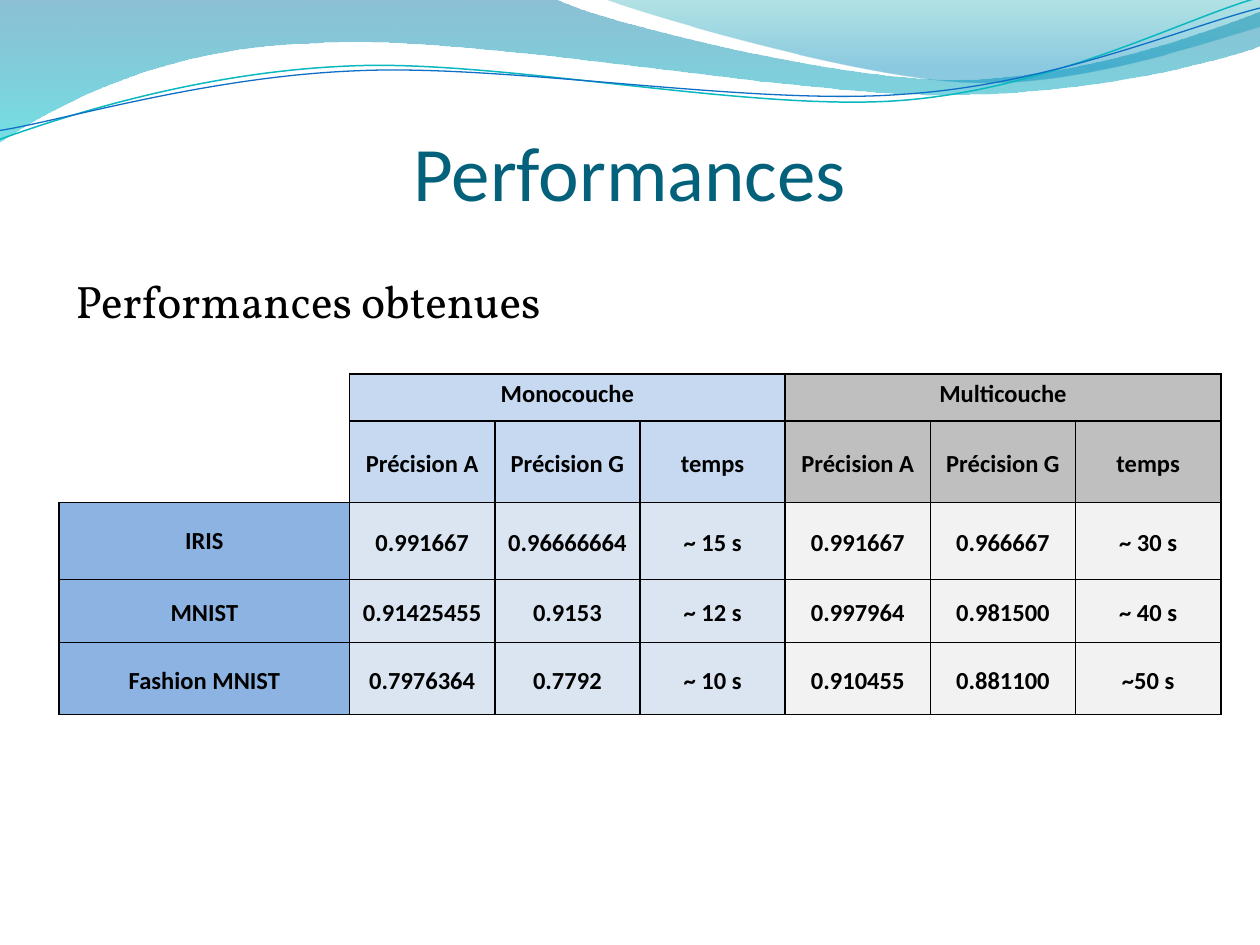
from dataclasses import dataclass

from pptx import Presentation
from pptx import util as u
from pptx.dml.color import RGBColor
from pptx.enum import text
from pptx.oxml.ns import qn
from lxml import etree

WIDTH, HEIGHT = u.Inches(10), u.Inches(7.5)


class Theme:
    heading_font, body_font = "Calibri", "Vollkorn"
    title_size, body_size, cell_size = 44, 26, 14
    title, ink = "04617B", "000000"
    group_heads = ("C6D9F1", "BFBFBF")
    group_cells = ("DBE5F1", "F2F2F2")
    row_head = "8DB3E2"


@dataclass
class Box:
    left: int
    top: int
    width: int
    height: int


def share(left, top, width, height):
    """Box given in percent of the slide's size."""
    return Box(round(left * WIDTH / 100), round(top * HEIGHT / 100),
               round(width * WIDTH / 100), round(height * HEIGHT / 100))


# Each wave: points in hundredths of the banner's width, each curve as
# two control points and an end point; a single point is a straight side.
BANDS = [
    ([(0, 0), [(44, -.1)],
      [(47.6, 1.7), (66.4, 6.3), (75.8, 6.3)], [(85.3, 6.3), (95.8, 2.6), (100, .9)],
      [(100.1, 3.6)],
      [(98.3, 4.4), (87, 7.6), (74.6, 7.5)], [(62.2, 7.5), (38.2, 2.8), (25.7, 3.4)],
      [(12.9, 3.6), (4.6, 8.3), (-.1, 11.3)]],
     [(0, "0074A1", 45), (1, "00C6CF", 55)]),
    ([(47.9, -.1), [(50.9, 1.1), (68.2, 6.2), (76.9, 6.5)],
      [(85.6, 6.9), (96.1, 3.2), (100, 2.1)], [(100, 0)]],
     [(0, "00A1A9", 30), (.8, "008BBF", 45)]),
]
STRAND_TILT = 357.3
STRANDS = [
    ([(-.2, 8.7), [(4.7, 7.2), (15.8, 4.1), (27.8, 4.2)],
      [(39.6, 4.2), (59.1, 9.3), (71.2, 9)], [(83.2, 8.7), (94, 3.6), (100, 2.2)]],
     "0AB8BF", .85),
    ([(-.2, 8), [(4.6, 7.5), (16.4, 4.5), (28.3, 4.6)],
      [(40.3, 4.6), (59.6, 8.9), (71.6, 8.5)], [(83.5, 8.3), (94.2, 4.2), (100.2, 3)]],
     "0F6FC6", .75),
]
GROUPS = ["Monocouche", "Multicouche"]
MEASURES = ["Précision A", "Précision G", "temps"]
RESULTS = [
    ["IRIS", "0.991667", "0.96666664", "~ 15 s", "0.991667", "0.966667", "~ 30 s"],
    ["MNIST", "0.91425455", "0.9153", "~ 12 s", "0.997964", "0.981500", "~ 40 s"],
    ["Fashion MNIST", "0.7976364", "0.7792", "~ 10 s", "0.910455", "0.881100", "~50 s"],
]
COLUMN_SHARES = [2] + [1] * 6
ROW_SHARES = [37, 65, 61, 50, 57]


def add_wave(page, box, outline, close):
    def spot(point):
        return [round(edge + part * box.width / 100)
                for edge, part in zip((box.left, box.top), point)]

    start, *pieces = outline
    builder = page.shapes.build_freeform(*spot(start))
    builder.add_line_segments([spot(piece[-1]) for piece in pieces], close=close)
    wave = builder.convert_to_shape()
    wave.shadow.inherit = False
    # Bend the sides that have control points
    sides = list(wave.element.iter(qn("a:lnTo")))
    for side, piece in zip(sides, pieces):
        if len(piece) == 3:
            curve = etree.Element(qn("a:cubicBezTo"))
            for x, y in map(spot, piece):
                etree.SubElement(curve, qn("a:pt"), x=str(x - wave.left),
                                 y=str(y - wave.top))
            side.getparent().replace(side, curve)
    return wave


def add_banner(page, box):
    for outline, stops in BANDS:
        band = add_wave(page, box, outline, True)
        band.line.fill.background()
        band.fill.gradient()
        band.fill.gradient_angle = 270
        nodes = band.element.iter(qn("a:gs"))
        for stop, node, (position, color, opacity) in zip(
                band.fill.gradient_stops, nodes, stops):
            stop.position = position
            stop.color.rgb = RGBColor.from_string(color)
            etree.SubElement(node[0], qn("a:alpha"), val=str(opacity * 1000))
    for outline, color, weight in STRANDS:
        strand = add_wave(page, box, outline, False)
        strand.rotation = STRAND_TILT
        strand.fill.background()
        strand.line.color.rgb = RGBColor.from_string(color)
        strand.line.width = u.Pt(weight)


def add_span(para, words, font, size, color, bold=False):
    span = para.add_run()
    span.text = words
    span.font.name, span.font.size, span.font.bold = font, u.Pt(size), bold
    span.font.color.rgb = RGBColor.from_string(color)


def place(holder, box):
    holder.left, holder.top = box.left, box.top
    holder.width, holder.height = box.width, box.height
    # Bring the text in front of the banner
    holder.element.getparent().append(holder.element)
    holder.text_frame.auto_size = text.MSO_AUTO_SIZE.NONE
    return holder.text_frame


def add_title(page, box):
    frame = place(page.shapes.title, box)
    frame.vertical_anchor = text.MSO_ANCHOR.BOTTOM
    frame.margin_left = frame.margin_right = frame.margin_bottom = 0
    para = frame.paragraphs[0]
    para.alignment = text.PP_ALIGN.CENTER
    add_span(para, "Performances", Theme.heading_font, Theme.title_size, Theme.title)


def add_body(page, box):
    para = place(page.placeholders[1], box).paragraphs[0]
    add_span(para, "Performances obtenues", Theme.body_font, Theme.body_size, Theme.ink)
    # Hanging indent without a bullet
    props = para._p.get_or_add_pPr()
    props.set("marL", str(u.Inches(.3)))
    props.set("indent", str(-u.Inches(.3)))
    etree.SubElement(props, qn("a:buNone"))


def set_borders(cell, drawn):
    props = cell._tc.get_or_add_tcPr()
    for index, side in enumerate("LRTB"):
        line = etree.Element(qn("a:ln" + side), w=str(u.Pt(1)))
        if side in drawn:
            fill = etree.SubElement(line, qn("a:solidFill"))
            etree.SubElement(fill, qn("a:srgbClr"), val=Theme.ink)
        else:
            etree.SubElement(line, qn("a:noFill"))
        props.insert(index, line)


def fill_cell(cell, words, color, anchor=text.MSO_ANCHOR.MIDDLE, spacing=1.15):
    cell.fill.solid()
    cell.fill.fore_color.rgb = RGBColor.from_string(color)
    cell.vertical_anchor = anchor
    cell.margin_left = cell.margin_right = u.Inches(.07)
    cell.margin_top = cell.margin_bottom = 0
    para = cell.text_frame.paragraphs[0]
    para.alignment, para.line_spacing = text.PP_ALIGN.CENTER, spacing
    add_span(para, words, Theme.heading_font, Theme.cell_size, Theme.ink, True)


def add_results(page, box):
    table = page.shapes.add_table(len(ROW_SHARES), len(COLUMN_SHARES), box.left,
                                  box.top, box.width, box.height).table
    table.first_row = table.horz_banding = False
    for column, part in zip(table.columns, COLUMN_SHARES):
        column.width = box.width * part // sum(COLUMN_SHARES)
    for row, part in zip(table.rows, ROW_SHARES):
        row.height = box.height * part // sum(ROW_SHARES)

    # Empty corner
    table.cell(0, 0).merge(table.cell(1, 0))
    for row in range(2):
        table.cell(row, 0).fill.background()

    # Group and measure headings
    size = len(MEASURES)
    for group, name in enumerate(GROUPS):
        first, color = 1 + group * size, Theme.group_heads[group]
        table.cell(0, first).merge(table.cell(0, first + size - 1))
        fill_cell(table.cell(0, first), name, color, text.MSO_ANCHOR.TOP)
        for offset, measure in enumerate(MEASURES):
            fill_cell(table.cell(1, first + offset), measure, color)

    # One row for each data set
    colors = [Theme.row_head] + [c for c in Theme.group_cells for _ in MEASURES]
    for row, values in enumerate(RESULTS, 2):
        for column, (value, color) in enumerate(zip(values, colors)):
            spacing = 1 if (row, column) == (2, 0) else 1.15
            fill_cell(table.cell(row, column), value, color, spacing=spacing)

    for row in range(len(ROW_SHARES)):
        for column in range(len(COLUMN_SHARES)):
            corner = row < 2 and column == 0
            set_borders(table.cell(row, column), "RB" if corner else "LRTB")


def main():
    deck = Presentation()
    deck.slide_width, deck.slide_height = WIDTH, HEIGHT
    page = deck.slides.add_slide(deck.slide_layouts[1])
    add_banner(page, share(0, 0, 100, 15))
    add_title(page, share(5, 10.27, 90, 12.67))
    add_body(page, share(5, 28.27, 90, 64))
    add_results(page, share(4.7, 39.6, 92.2, 36))
    deck.save("out.pptx")


if __name__ == "__main__":
    main()
